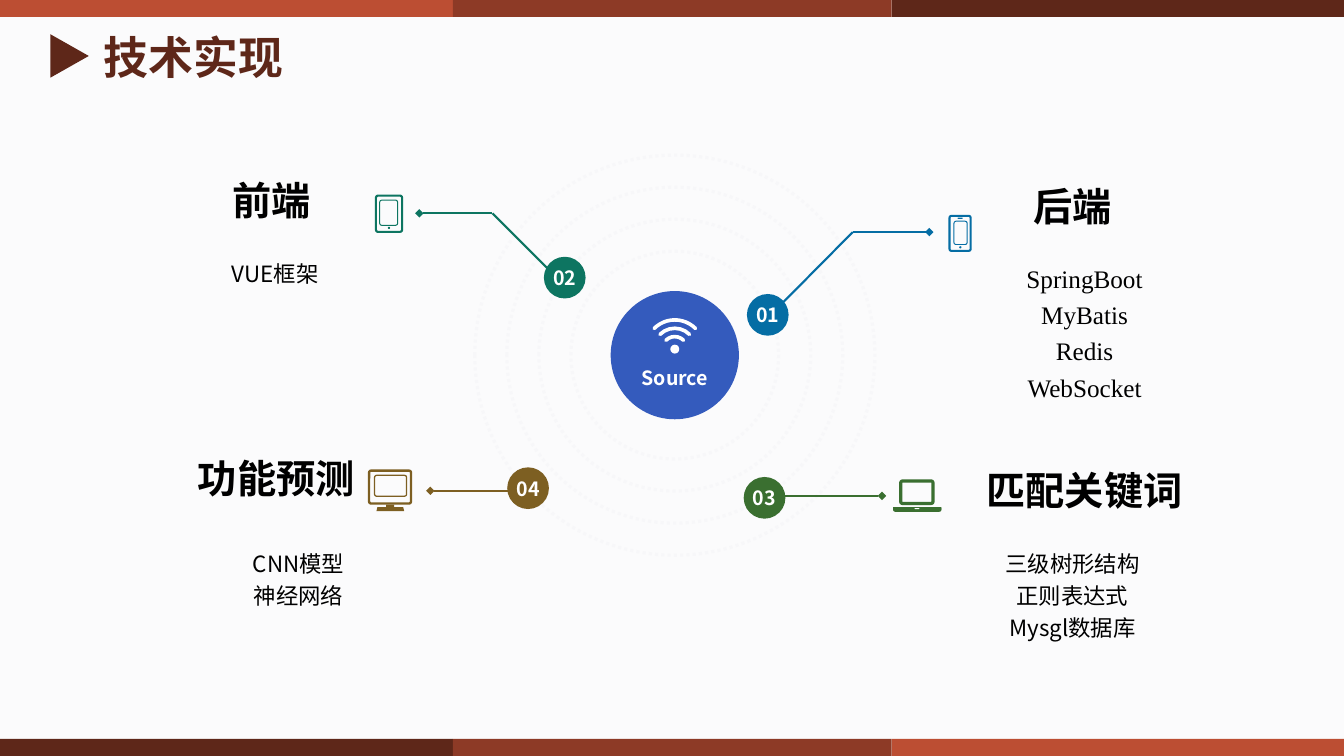
from dataclasses import dataclass

from lxml.etree import SubElement
from pptx import Presentation
from pptx.dml.color import RGBColor
from pptx.enum.dml import MSO_LINE
from pptx.enum.shapes import MSO_CONNECTOR, MSO_SHAPE
from pptx.enum.text import MSO_ANCHOR, MSO_AUTO_SIZE, PP_ALIGN
from pptx.oxml.ns import qn
from pptx.util import Pt

SANS, SERIF = "Noto Sans CJK SC", "Times New Roman"
PAPER, WHITE, BLACK = "FBFBFC", "FFFFFF", "000000"
DARK, MIDDLE, LIGHT = "5E2719", "8D3A26", "BC4E33"
BLUE, TEAL, GREEN, GOLD, HUB = "056DA4", "0D7561", "3A6F30", "7D5F22", "345BBD"
RING = "F7F7F9"
RECT, ROUND, OVAL = MSO_SHAPE.RECTANGLE, MSO_SHAPE.ROUNDED_RECTANGLE, MSO_SHAPE.OVAL
Box = tuple[float, float, float, float]


@dataclass(frozen=True)
class Part:
    kind: MSO_SHAPE
    box: Box
    weight: float = 0
    color: str = ""


@dataclass(frozen=True)
class Topic:
    number: str
    color: str
    badge: tuple[float, float]
    heading: str
    heading_box: Box
    items: list[str]
    items_box: Box
    route: list[tuple[float, float]]
    icon: list[Part]
    size: float = 16
    font: str = SANS


TOPICS = [
    Topic("01", BLUE, (533.5, 210), "后端", (709.9, 126.7, 113, 39.6),
          ["SpringBoot", "MyBatis", "Redis", "WebSocket"], (690.5, 180, 168.5, 111.6),
          [(558.7, 216.7), (609.1, 165.8), (663.8, 165.8)],
          [Part(ROUND, (677.5, 153.4, 16.6, 26.6), 1.5),
           Part(ROUND, (681.1, 157.7, 10.1, 17.3), 0.7),
           Part(ROUND, (684, 155.5, 3.6, 0.9)),
           Part(OVAL, (685.2, 175.9, 1.6, 1.6))], 18, SERIF),
    Topic("02", TEAL, (388.5, 183.4), "前端", (131.8, 122.4, 123.8, 38.9),
          ["VUE框架"], (146.9, 178.6, 99.4, 38.9),
          [(393.1, 193.7), (351.8, 152.4), (299.5, 152.4)],
          [Part(ROUND, (267.8, 139, 20.2, 27.4), 1.5),
           Part(ROUND, (270.9, 142.6, 13.5, 18.7), 0.7),
           Part(OVAL, (277.1, 162, 1.6, 1.6))]),
    Topic("03", GREEN, (531.2, 340.7), "匹配关键词", (681.1, 329.8, 187.2, 56.9),
          ["三级树形结构", "正则表达式", "Mysgl数据库"], (687.6, 385.2, 157, 77),
          [(560.9, 354.2), (630, 354.2)],
          [Part(ROUND, (642.2, 342.4, 25.4, 18.4), 2.3),
           Part(ROUND, (637.9, 362.2, 34.6, 3.4)),
           Part(RECT, (637.9, 362.2, 34.6, 1.4)),
           Part(ROUND, (653.3, 362.9, 3.4, 0.7), 0, PAPER)]),
    Topic("04", GOLD, (362.3, 333.8), "功能预测", (139, 321.1, 116.6, 39.6),
          ["CNN模型", "神经网络"], (171.4, 385.2, 83.5, 54),
          [(363.6, 350.6), (307.4, 350.6)],
          [Part(ROUND, (262.8, 335.3, 31.7, 25.2), 1.7),
           Part(ROUND, (267.1, 339.1, 23.8, 15.8), 0.9),
           Part(RECT, (275.8, 360.5, 5.8, 2.2)),
           Part(MSO_SHAPE.TRAPEZOID, (268.9, 362.2, 19.8, 2.8))]),
]


def rgb(color: str) -> RGBColor:
    return RGBColor.from_string(color)


def draw(s, part: Part, color: str = ""):
    x, y, w, h = part.box
    edge = part.weight
    sp = s.shapes.add_shape(part.kind, Pt(x + edge / 2), Pt(y + edge / 2),
                            Pt(w - edge), Pt(h - edge))
    sp.shadow.inherit = False
    if part.kind == ROUND:
        sp.adjustments[0] = min(0.5, 1.6 / min(w, h))
    if edge:
        sp.fill.background()
        sp.line.width = Pt(edge)
        sp.line.color.rgb = rgb(part.color or color)
    else:
        sp.fill.solid()
        sp.fill.fore_color.rgb = rgb(part.color or color)
        sp.line.fill.background()
    return sp


def write(sp, lines: list[str], size: float, color: str, bold: bool = True,
          font: str = SANS, align: PP_ALIGN = PP_ALIGN.CENTER,
          spacing: float = 1, wrap: bool = False,
          anchor: MSO_ANCHOR = MSO_ANCHOR.TOP) -> None:
    tf = sp.text_frame
    tf.text = "\n".join(lines)
    tf.word_wrap = wrap
    tf.auto_size = MSO_AUTO_SIZE.NONE
    tf.vertical_anchor = anchor
    for p in tf.paragraphs:
        p.alignment = align
        p.line_spacing = spacing
        p.space_before = p.space_after = Pt(0)
        for r in p.runs:
            r.font.size, r.font.bold, r.font.name = Pt(size), bold, font
            r.font.color.rgb = rgb(color)
            SubElement(r.font._element, qn("a:ea")).set("typeface", font)


def label(s, box: Box, text: str, size: float, color: str) -> None:
    write(s.shapes.add_textbox(*map(Pt, box)), [text], size, color)


def fill_placeholder(sp, box: Box, lines: list[str], size: float, color: str, **style) -> None:
    sp.left, sp.top, sp.width, sp.height = map(Pt, box)
    write(sp, lines, size, color, wrap=True, **style)
    for p in sp.text_frame.paragraphs:
        pPr = p._p.get_or_add_pPr()
        pPr.set("marL", "0")
        pPr.set("indent", "0")
        SubElement(pPr, qn("a:buNone"))


def draw_route(s, points: list[tuple[float, float]], color: str) -> None:
    for start, end in zip(points, points[1:]):
        c = s.shapes.add_connector(MSO_CONNECTOR.STRAIGHT, *map(Pt, start + end))
        c.line.width = Pt(1.5)
        c.line.color.rgb = rgb(color)
        if end == points[-1]:
            SubElement(c.line._ln, qn("a:tailEnd")).set("type", "diamond")
        SubElement(c._element.spPr, qn("a:effectLst"))


def circle(cx: float, cy: float, radius: float) -> Box:
    return cx - radius, cy - radius, 2 * radius, 2 * radius


def draw_frame(s) -> None:
    edges = [0, 323.5, 637, 960]
    for top, colors in ((527.8, (DARK, MIDDLE, LIGHT)), (0, (LIGHT, MIDDLE, DARK))):
        for left, right, color in zip(edges, edges[1:], colors):
            draw(s, Part(RECT, (left, top, right - left, 12.2)), color)
    arrow = draw(s, Part(MSO_SHAPE.RIGHT_ARROW, (36, 24.5, 27.4, 31)), DARK)
    arrow.adjustments[0], arrow.adjustments[1] = 0.5, 1


def draw_hub(s) -> None:
    for i in range(4):
        ring = draw(s, Part(OVAL, circle(482, 253.7, 75.3 + 22.9 * i), 2.25), RING)
        ring.line.dash_style = MSO_LINE.ROUND_DOT
    draw(s, Part(OVAL, circle(482, 253.7, 45.8)), HUB)
    draw(s, Part(OVAL, circle(482, 249.4, 3.2)), WHITE)
    for radius in (10.2, 16.2, 22.2):
        wave = draw(s, Part(MSO_SHAPE.ARC, circle(482, 249.4, radius), 2.6), WHITE)
        wave.adjustments[0], wave.adjustments[1] = 225 * 0.6, 315 * 0.6
        wave.line._ln.set("cap", "rnd")
    label(s, (450.7, 257.8, 62.6, 24.5), "Source", 14, WHITE)


def draw_topic(s, topic: Topic, body) -> None:
    draw_route(s, topic.route, topic.color)
    badge = draw(s, Part(OVAL, (*topic.badge, 29.8, 29.8)), topic.color)
    write(badge, [topic.number], 14, WHITE, anchor=MSO_ANCHOR.MIDDLE)
    for part in topic.icon:
        draw(s, part, topic.color)
    label(s, topic.heading_box, topic.heading, 28, BLACK)
    fill_placeholder(body, topic.items_box, topic.items, topic.size, BLACK,
                     bold=False, font=topic.font, spacing=1.2)


def main() -> None:
    prs = Presentation()
    prs.slide_width, prs.slide_height = Pt(960), Pt(540)
    s = prs.slides.add_slide(prs.slide_layouts.get_by_name("Comparison"))
    s.background.fill.solid()
    s.background.fill.fore_color.rgb = rgb(PAPER)
    title, *bodies = s.placeholders
    draw_frame(s)
    fill_placeholder(title, (67, 17.3, 329.8, 46), ["技术实现"], 32, DARK, align=PP_ALIGN.LEFT)
    draw_hub(s)
    for topic, body in zip(TOPICS, bodies):
        draw_topic(s, topic, body)
    prs.save("out.pptx")


if __name__ == "__main__":
    main()
